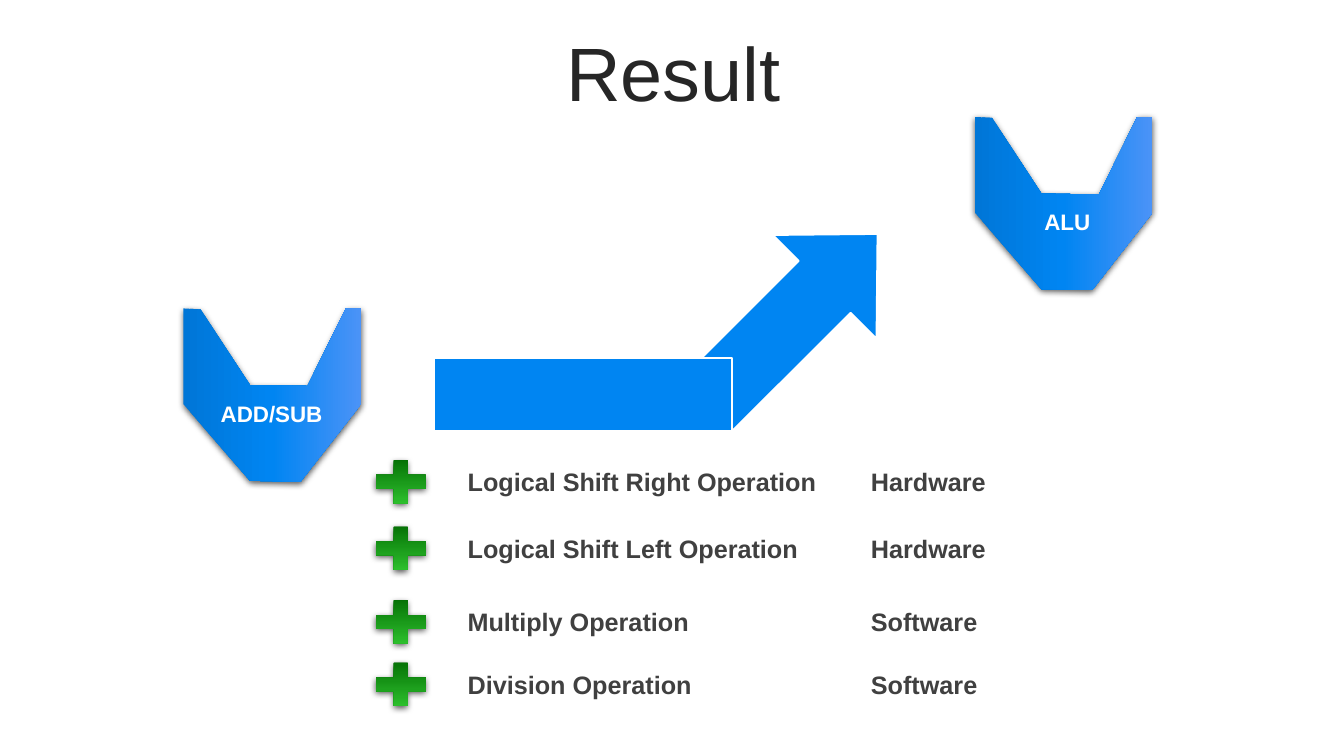
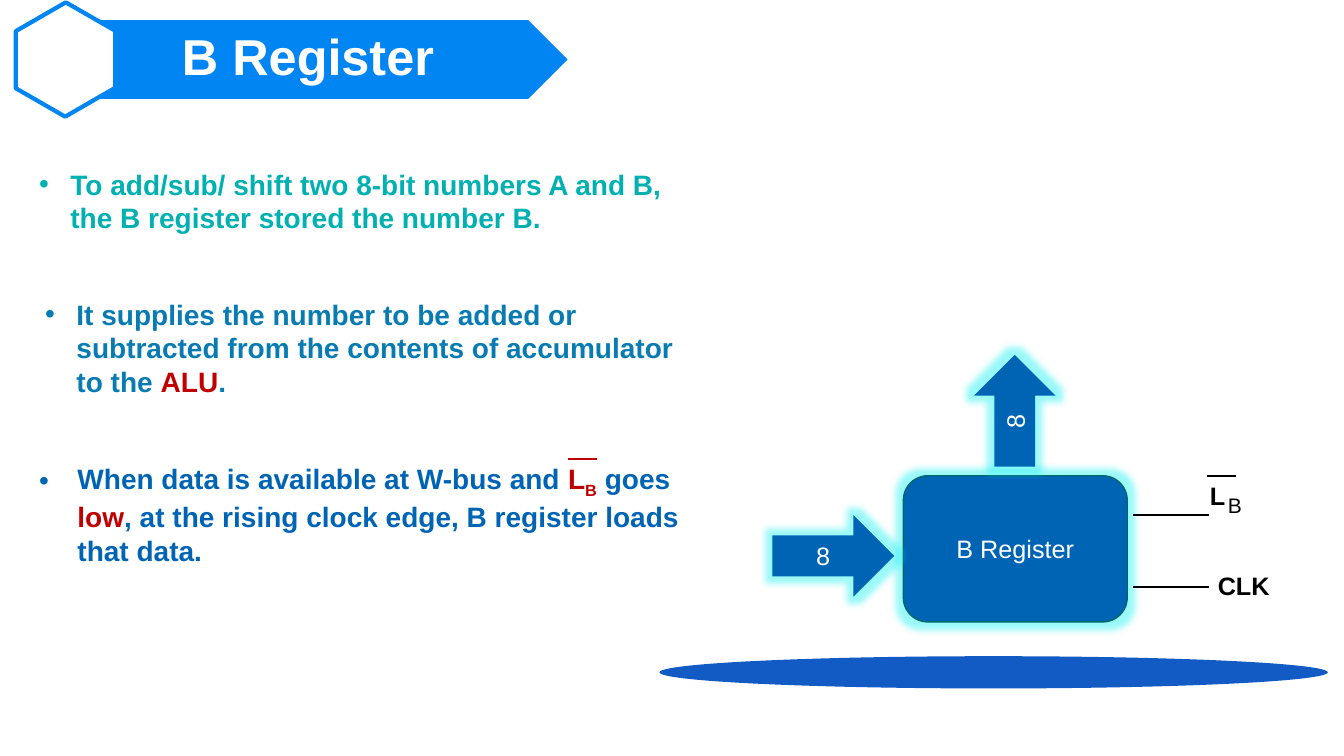
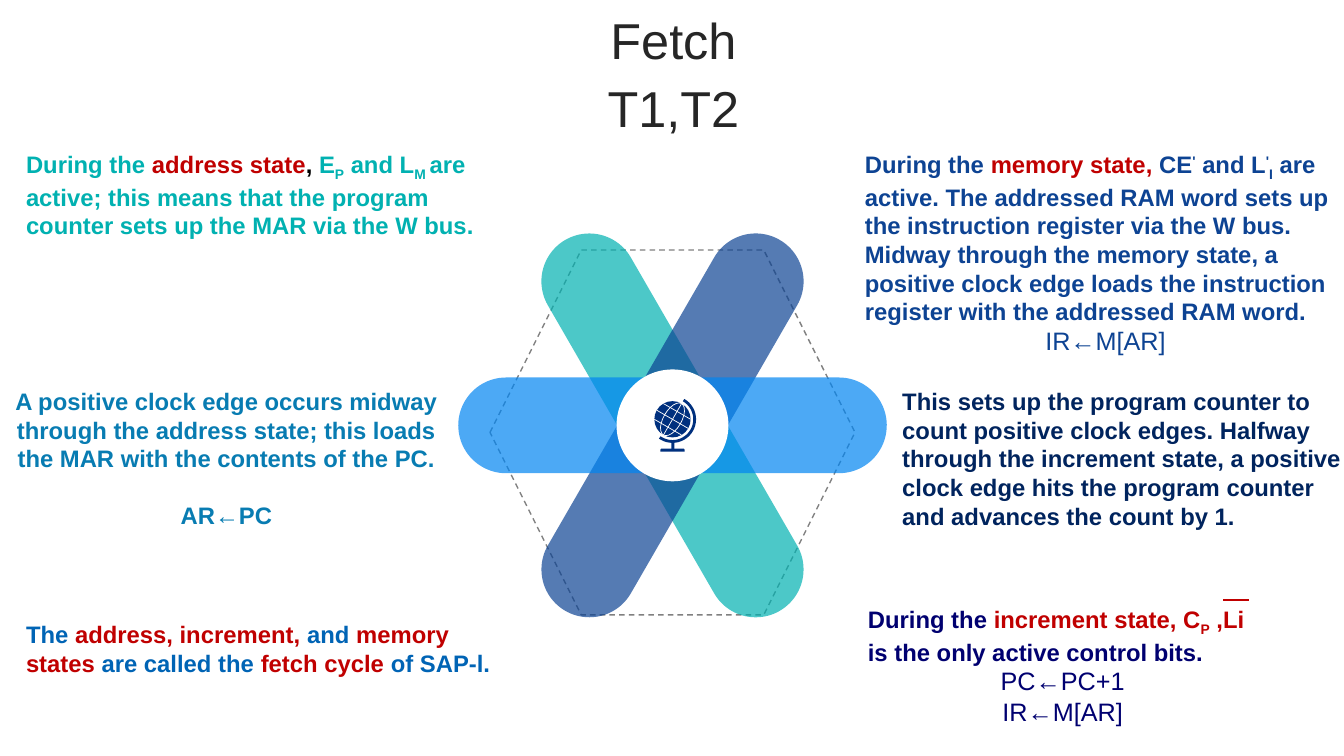
import math

import pptx
import pptx.dml.color
import pptx.enum.dml
import pptx.enum.shapes
import pptx.enum.text
import pptx.oxml
import pptx.oxml.ns
import pptx.util

PX = 9144  # EMU in one px, a hundredth of an inch
FONT = "Arial"
WHITE, BLACK, INK, GREY = "FFFFFF", "000000", "262626", "404040"
BLUE, DEEP, STEEL, NAVY = "0085F2", "0064B5", "087CB2", "0D4393"
MIDNIGHT, INDIGO, TEAL, RED = "00245E", "000070", "01B1B1", "C00000"
GLOBE, DASHES, FLOOR, BLOCK_EDGE = "00307E", "808080", "125AC4", "016767"
ALU_STOPS = [(0, "0076D7"), (50, BLUE), (100, "4B93F7")]
PLUS_STOPS = [(0, "006600"), (100, "33CC33")]
SUB, SUPER = -25, 30  # baseline shifts in percent
TITLE_BOX = (35, 37, 1266, 79)

SHADOW = ('<a:outerShdw {ns} blurRad="57150" dist="19050" dir="5400000" rotWithShape="0">'
          '<a:srgbClr val="000000"><a:alpha val="63000"/></a:srgbClr></a:outerShdw>')
GLOW = ('<a:glow {ns} rad="127000"><a:srgbClr val="01F0F0">'
        '<a:alpha val="40000"/></a:srgbClr></a:glow>')

MSO = pptx.enum.shapes.MSO_SHAPE
ALIGN = pptx.enum.text.PP_ALIGN
ANCHOR = pptx.enum.text.MSO_ANCHOR
qn = pptx.oxml.ns.qn


# ---- Shared helpers ----

def px(n):
    return pptx.util.Emu(round(n * PX))


def rgb(color):
    return pptx.dml.color.RGBColor.from_string(color)


def xml(markup):
    return pptx.oxml.parse_xml(markup.replace("{ns}", pptx.oxml.ns.nsdecls("a")))


def style(sp, fill=None, outline=None, width=1.0):
    sp.shadow.inherit = False
    if fill:
        sp.fill.solid()
        sp.fill.fore_color.rgb = rgb(fill)
    else:
        sp.fill.background()
    if outline:
        sp.line.color.rgb = rgb(outline)
        sp.line.width = pptx.util.Pt(width)
    else:
        sp.line.fill.background()


def shape(slide, kind, box, fill=None, outline=None, width=1.0, rot=0, adj=()):
    sp = slide.shapes.add_shape(kind, *map(px, box))
    sp.rotation = rot
    for i, value in enumerate(adj):
        sp.adjustments[i] = value
    style(sp, fill, outline, width)
    return sp


def set_opacity(sp, percent):
    color = sp.element.spPr.find(qn("a:solidFill"))[0]
    color.append(xml(f'<a:alpha {{ns}} val="{percent * 1000}"/>'))


def set_gradient(sp, stops, angle):
    """Replace the solid fill of sp with a linear gradient."""
    gs = "".join(f'<a:gs pos="{pos * 1000}"><a:srgbClr val="{color}"/></a:gs>'
                 for pos, color in stops)
    spPr = sp.element.spPr
    spPr.replace(spPr.find(qn("a:solidFill")), xml(
        f'<a:gradFill {{ns}} rotWithShape="1"><a:gsLst>{gs}</a:gsLst>'
        f'<a:lin ang="{angle * 60000}" scaled="0"/></a:gradFill>'))


def add_effect(sp, markup):
    sp.element.spPr.find(qn("a:effectLst")).append(xml(markup))


def line(slide, x1, y1, x2, y2, color=BLACK, width=1.5):
    c = slide.shapes.add_connector(pptx.enum.shapes.MSO_CONNECTOR.STRAIGHT,
                                   *map(px, (x1, y1, x2, y2)))
    c.line.color.rgb = rgb(color)
    c.line.width = pptx.util.Pt(width)
    c.element.spPr.append(xml("<a:effectLst {ns}/>"))


def write(p, runs, size, bold=True, align=ALIGN.LEFT):
    """Fill p with runs of (text, colour) or (text, colour, baseline shift)."""
    p.alignment = align
    for text, color, *shift in runs:
        r = p.add_run()
        r.text = text
        r.font.name = FONT
        r.font.size = pptx.util.Pt(size)
        r.font.bold = bold
        r.font.color.rgb = rgb(color)
        if shift:
            r._r.get_or_add_rPr().set("baseline", str(shift[0] * 1000))


def textbox(slide, box, runs, size, bold=True, align=ALIGN.LEFT):
    tf = slide.shapes.add_textbox(*map(px, box)).text_frame
    tf.word_wrap = True
    write(tf.paragraphs[0], runs, size, bold, align)
    return tf


def title(slide, box, lines, size, color=INK, bold=False, anchor=ANCHOR.MIDDLE,
          spacing=0.9, before=10):
    sp = slide.shapes.title
    sp.left, sp.top, sp.width, sp.height = map(px, box)
    tf = sp.text_frame
    tf.word_wrap = True
    tf.auto_size = pptx.enum.text.MSO_AUTO_SIZE.NONE
    tf.vertical_anchor = anchor
    for i, text in enumerate(lines):
        p = tf.add_paragraph() if i else tf.paragraphs[0]
        p.line_spacing = spacing
        p.space_before = pptx.util.Pt(before)
        write(p, [(text, color)], size, bold, ALIGN.CENTER)
    return sp


# ---- Result ----

def alu_symbol(slide, x, y, label, align):
    outline = [(176, 0), (176, 95), (116, 172), (66, 171), (0, 95), (0, 0),
               (17, 1), (66, 76), (123, 77), (161, 0)]
    start, *rest = [(px(x + dx), px(y + dy)) for dx, dy in outline]
    builder = slide.shapes.build_freeform(*start, scale=1.0)
    builder.add_line_segments(rest, close=True)
    sp = builder.convert_to_shape()
    style(sp, BLUE)
    set_gradient(sp, ALU_STOPS, 0)
    add_effect(sp, SHADOW)
    textbox(slide, (x + 27, y + 86, 129, 37), [(label, WHITE)], 16, align=align)


def bent_arrow(slide, x, y):
    shape(slide, MSO.UP_ARROW, (x + 283, y - 158, 146, 239), BLUE, WHITE, 1.5, 45,
          (0.5, 0.51))
    shape(slide, MSO.RECTANGLE, (x, y, 296, 73), BLUE, WHITE, 1.5)


def operation_row(slide, x, y, operation, kind):
    plus = shape(slide, MSO.MATH_PLUS, (x, y, 67, 58), BLUE)
    set_gradient(plus, PLUS_STOPS, 90)
    add_effect(plus, SHADOW)
    tf = textbox(slide, (x + 90, y + 9, 546, 40), [(f"{operation}\t{kind}", GREY)], 18)
    tf.paragraphs[0]._p.get_or_add_pPr().append(
        xml(f'<a:tabLst {{ns}}><a:tab pos="{px(400)}" algn="l"/></a:tabLst>'))


def result_slide(slide):
    title(slide, TITLE_BOX, ["Result"], 54)
    bent_arrow(slide, 430, 355)
    alu_symbol(slide, 182, 306, "ADD/SUB", ALIGN.LEFT)
    alu_symbol(slide, 967, 116, "ALU", ALIGN.CENTER)
    for y, operation, kind in [(449, "Logical Shift Right Operation", "Hardware"),
                               (515, "Logical Shift Left Operation", "Hardware"),
                               (588, "Multiply Operation", "Software"),
                               (650, "Division Operation", "Software")]:
        operation_row(slide, 364, y, operation, kind)


# ---- B Register ----

def banner(slide, x, y, text):
    band = shape(slide, MSO.PENTAGON, (x + 61, y + 10, 494, 78), BLUE)
    shape(slide, MSO.HEXAGON, (x, y, 114, 98), WHITE, BLUE, 3, 330, (0.29,))
    heading = title(slide, (x - 36, y + 10, 667, 131), [text], 36, WHITE, True,
                    ANCHOR.TOP, spacing=1.0, before=0)
    band.element.addnext(heading.element)  # lifts the heading above the band


def bullet(slide, box, runs, indent):
    tf = textbox(slide, box, runs, 20)
    pPr = tf.paragraphs[0]._p.get_or_add_pPr()
    pPr.set("marL", str(px(indent)))
    pPr.set("indent", str(px(-indent)))
    pPr.append(xml(f'<a:buFont {{ns}} typeface="{FONT}"/>'))
    pPr.append(xml('<a:buChar {ns} char="•"/>'))


def glowing_block(slide, kind, box, text, outline=None, rot=0):
    sp = shape(slide, kind, box, DEEP, outline, rot=rot)
    add_effect(sp, GLOW)
    tf = sp.text_frame
    tf.vertical_anchor = ANCHOR.MIDDLE
    write(tf.paragraphs[0], [(text, WHITE)], 18, False, ALIGN.CENTER)


def register_diagram(slide, x, y):
    shape(slide, MSO.OVAL, (x, y + 284, 663, 32), FLOOR)
    glowing_block(slide, MSO.ROUNDED_RECTANGLE, (x + 242, y + 105, 222, 145),
                  "B Register", BLOCK_EDGE)
    glowing_block(slide, MSO.RIGHT_ARROW, (x + 112, y + 144, 121, 81), "8")
    glowing_block(slide, MSO.RIGHT_ARROW, (x + 297, y, 111, 81), "8", rot=270)
    for pin_y in (y + 144, y + 215):
        line(slide, x + 470, pin_y, x + 545, pin_y)
    for dx, dy, width, label, size, bold in [(536, 105, 52, "L", 18, True),
                                             (554, 117, 34, "B", 15, False),
                                             (544, 194, 75, "CLK", 18, True)]:
        textbox(slide, (x + dx, y + dy, width, 40), [(label, BLACK)], size, bold)
    line(slide, x + 543, y + 105, x + 572, y + 105)


def register_slide(slide):
    banner(slide, 8, 10, "B Register")
    bullet(slide, (29, 161, 677, 77), [
        ("To add/sub/ shift two 8-bit numbers A and B, the B register stored the number B.",
         TEAL)], 31)
    bullet(slide, (35, 290, 672, 111), [
        ("It supplies the number to be added or subtracted from the contents of "
         "accumulator to the ", STEEL), ("ALU", RED), (".", STEEL)], 31)
    bullet(slide, (29, 453, 690, 111), [
        ("When data is available at W-bus and ", DEEP), ("L", RED), ("B", RED, SUB),
        (" goes ", DEEP), ("low", RED),
        (", at the rising clock edge, B register loads that data.", DEEP)], 38)
    line(slide, 563, 455, 592, 455, RED)
    register_diagram(slide, 654, 367)


# ---- Fetch ----

def globe(slide, cx, cy, r, tilt=30):
    """Desk globe centred on cx, cy, its axis tilted clockwise by tilt degrees."""
    sin, cos = math.sin(math.radians(tilt)), math.cos(math.radians(tilt))
    shape(slide, MSO.OVAL, (cx - r, cy - r, 2 * r, 2 * r), GLOBE)
    shape(slide, MSO.OVAL, (cx - r / 2, cy - r, r, 2 * r), None, WHITE, 0.5, tilt)
    line(slide, cx + r * sin, cy - r * cos, cx - r * sin, cy + r * cos, WHITE, 0.5)
    for offset in (-r / 2, 0, r / 2):
        half = math.sqrt(r * r - offset * offset)
        mid_x, mid_y = cx + offset * sin, cy - offset * cos
        line(slide, mid_x - half * cos, mid_y - half * sin,
             mid_x + half * cos, mid_y + half * sin, WHITE, 0.5)
    ring = r + 4
    arc_degree = 0.6  # one degree in the units of an arc adjustment
    shape(slide, MSO.ARC, (cx - ring, cy - ring, 2 * ring, 2 * ring), None, GLOBE, 2,
          adj=(300 * arc_degree, 125 * arc_degree))
    shape(slide, MSO.RECTANGLE, (cx - 1, cy + ring, 3, 8), GLOBE)
    shape(slide, MSO.ROUND_2_SAME_RECTANGLE, (cx - 12, cy + ring + 7, 24, 3), GLOBE,
          adj=(0.5,))


def petal_wheel(slide, x, y, size):
    frame = shape(slide, MSO.HEXAGON, (x, y, size, size), outline=DASHES)
    frame.line.dash_style = pptx.enum.dml.MSO_LINE.DASH
    cx, cy = x + size / 2, y + size / 2 - 7
    width, length, hub = 95, 425, 111
    for rot, color in [(330, TEAL), (30, NAVY), (90, BLUE)]:
        petal = shape(slide, MSO.ROUNDED_RECTANGLE,
                      (cx - width / 2, cy - length / 2, width, length), color,
                      rot=rot, adj=(0.5,))
        set_opacity(petal, 70)
    shape(slide, MSO.OVAL, (cx - hub / 2, cy - hub / 2, hub, hub), WHITE)
    globe(slide, cx, cy - 6, 18)


def note(slide, box, runs, align=ALIGN.LEFT, transfers=(), size=18, bold=False, gap=0):
    """Text block, then centred register transfers in the colour of its last run."""
    tf = textbox(slide, box, runs, 17, align=align)
    color = runs[-1][1]
    for transfer in transfers:
        p = tf.add_paragraph()
        p.space_before = pptx.util.Pt(gap)
        write(p, [(transfer, color)], size, bold, ALIGN.CENTER)


def fetch_slide(slide):
    title(slide, TITLE_BOX, ["Fetch", "T1,T2"], 36)
    petal_wheel(slide, 486, 248, 362)
    note(slide, (16, 144, 504, 187), [
        ("During the ", TEAL), ("address state", RED), (", ", BLACK), ("E", TEAL),
        ("P", TEAL, SUB), (" and L", TEAL), ("M ", TEAL, SUB),
        ("are active; this means that the program counter sets up the MAR via the W bus.",
         TEAL)])
    note(slide, (-3, 379, 455, 153), [
        ("A positive clock edge occurs midway through the address state; this loads "
         "the MAR with the contents of the PC.", STEEL)],
        ALIGN.CENTER, ["AR←PC"], 17, True, 20)
    note(slide, (16, 610, 504, 67), [
        ("The ", DEEP), ("address, increment, ", RED), ("and ", DEEP),
        ("memory states ", RED), ("are called the ", DEEP), ("fetch cycle ", RED),
        ("of SAP-l.", DEEP)])
    note(slide, (848, 144, 497, 236), [
        ("During the ", NAVY), ("memory state, ", RED), ("CE", NAVY), ("'", NAVY, SUPER),
        (" and L", NAVY), ("'", NAVY, SUPER), ("I", NAVY, SUB),
        (" are active. The addressed RAM word sets up the instruction register via the "
         "W bus. Midway through the memory state, a positive clock edge loads the "
         "instruction register with the addressed RAM word.", NAVY)],
        transfers=["IR←M[AR]"])
    note(slide, (885, 379, 468, 153), [
        ("This sets up the program counter to count positive clock edges. Halfway through "
         "the increment state, a positive clock edge hits the program counter and "
         "advances the count by 1.", MIDNIGHT)])
    note(slide, (851, 595, 406, 128), [
        ("During the ", INDIGO), ("increment state, C", RED), ("P", RED, SUB),
        (" ,Li ", RED), ("is the only active control bits.", INDIGO)],
        transfers=["PC←PC+1", "IR←M[AR]"])
    line(slide, 1213, 595, 1239, 595, RED)


def main():
    prs = pptx.Presentation()
    prs.slide_width, prs.slide_height = px(1333), px(750)
    title_only = prs.slide_layouts[5]
    for build in (result_slide, register_slide, fetch_slide):
        build(prs.slides.add_slide(title_only))
    prs.save("out.pptx")


if __name__ == "__main__":
    main()
